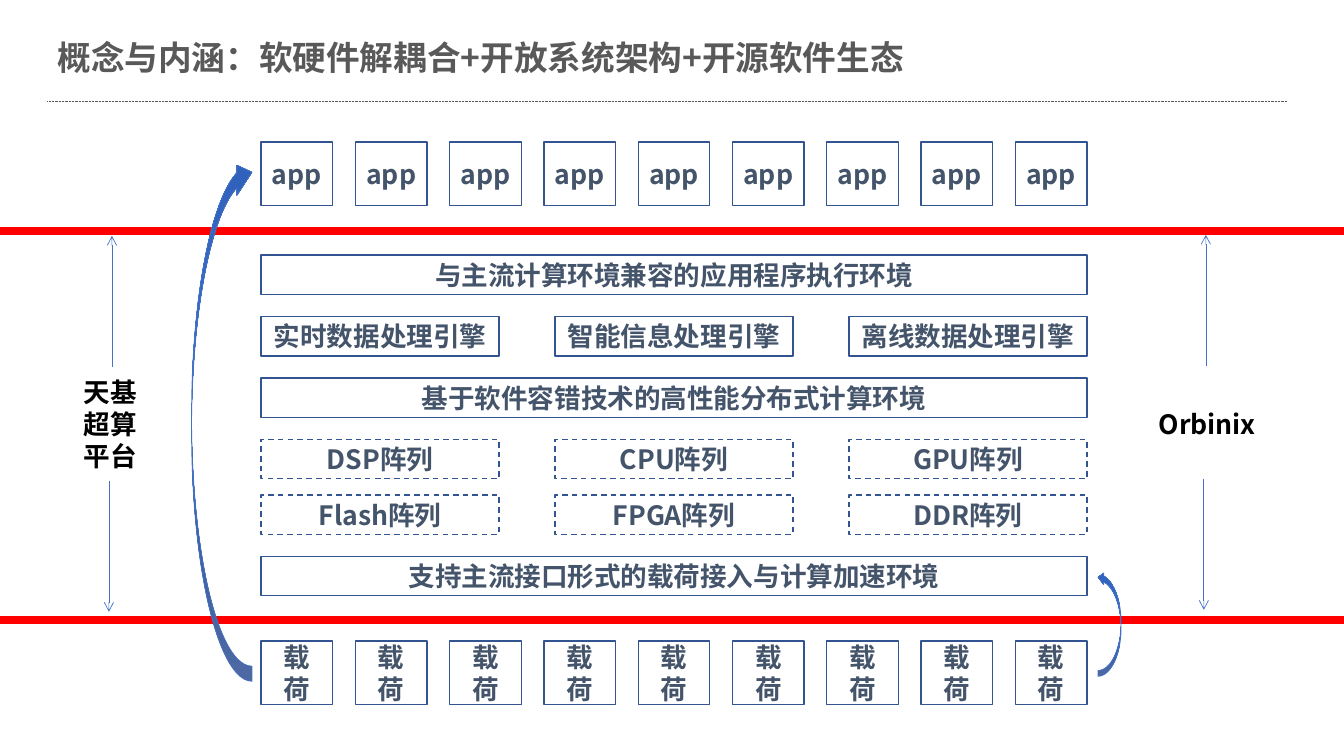
from copy import deepcopy
from dataclasses import dataclass

from lxml import etree
from pptx import Presentation
from pptx.dml.color import RGBColor
from pptx.enum import dml, shapes, text
from pptx.oxml import ns
from pptx.util import Inches, Pt


@dataclass(frozen=True)
class Theme:
    """Colours, type sizes and font of the slide."""
    font: str = "Noto Sans CJK SC"
    title_size: int = 24
    body_size: int = 19
    grey: str = "595959"
    slate: str = "44546A"
    border: str = "325491"
    blue: str = "4472C4"
    red: str = "FF0000"
    black: str = "000000"
    white: str = "FFFFFF"
    gradient: tuple = ("6183CB", "3E70CA", "3062BB")


THEME = Theme()
LEFT, WIDTH = 2.59, 8.19
BAR_H = 0.39
TILE_W, TILE_H, TILE_COUNT = 0.71, 0.63, 9
UNIT_W = 2.36


def rgb(value):
    """Turn a hex string into a colour."""
    return RGBColor.from_string(value)


def write(tf, words, color, size=THEME.body_size, align=text.PP_ALIGN.CENTER):
    """Put one bold paragraph into a text frame."""
    tf.word_wrap = True
    p = tf.paragraphs[0]
    p.text = words
    p.alignment = align
    p.font.name = THEME.font
    p.font.size = Pt(size)
    p.font.bold = True
    p.font.color.rgb = rgb(color)
    props = p._p.pPr.find(ns.qn("a:defRPr"))
    latin = props.find(ns.qn("a:latin"))
    ea = etree.Element(ns.qn("a:ea"), typeface=THEME.font)
    latin.addnext(ea)
    return p


def add_title(s, words):
    """Place and format the slide title."""
    sp = s.shapes.title
    sp.left, sp.top, sp.width, sp.height = map(Inches, (0.47, 0.32, 10.64, 0.55))
    tf = sp.text_frame
    tf.auto_size = text.MSO_AUTO_SIZE.NONE
    tf.vertical_anchor = text.MSO_ANCHOR.MIDDLE
    p = write(tf, words, THEME.grey, THEME.title_size, text.PP_ALIGN.LEFT)
    p.line_spacing = 0.9


def add_line(s, start, end, color, width, dash=None, arrow=False):
    """Draw a straight line, with an open arrowhead if asked."""
    line = s.shapes.add_connector(
        shapes.MSO_CONNECTOR.STRAIGHT, *map(Inches, (*start, *end)))
    line.line.color.rgb = rgb(color)
    line.line.width = Pt(width)
    if dash:
        line.line.dash_style = dash
    if arrow:
        etree.SubElement(line.line._get_or_add_ln(), ns.qn("a:tailEnd"), type="arrow")
    etree.SubElement(line._element.spPr, ns.qn("a:effectLst"))


def add_box(s, words, x, y, w, h, dash=None, fill=None):
    """Draw an outlined rectangle with centred text."""
    sp = s.shapes.add_shape(
        shapes.MSO_SHAPE.RECTANGLE, *map(Inches, (x, y, w, h)))
    sp.shadow.inherit = False
    if fill:
        sp.fill.solid()
        sp.fill.fore_color.rgb = rgb(fill)
    else:
        sp.fill.background()
    sp.line.color.rgb = rgb(THEME.border)
    sp.line.width = Pt(1)
    if dash:
        sp.line.dash_style = dash
    sp.text_frame.vertical_anchor = text.MSO_ANCHOR.MIDDLE
    write(sp.text_frame, words, THEME.slate)


def add_row(s, labels, y, w, h, **style):
    """Spread equal boxes evenly across the diagram width."""
    pitch = (WIDTH - w) / (len(labels) - 1)
    for i, label in enumerate(labels):
        add_box(s, label, LEFT + i * pitch, y, w, h, **style)


def add_curve(s, x, y, w, h, mirrored=False):
    """Draw an upward curved arrow with a gradient fill."""
    sp = s.shapes.add_shape(
        shapes.MSO_SHAPE.CURVED_RIGHT_ARROW, *map(Inches, (x, y, w, h)))
    sp.shadow.inherit = False
    sp.line.color.rgb = rgb(THEME.blue)
    sp.line.width = Pt(0.5)
    sp.fill.gradient()
    sp.fill.gradient_angle = 270
    stops = sp._element.spPr.find(".//" + ns.qn("a:gsLst"))
    stops.insert(1, deepcopy(stops[0]))
    for i, (stop, color) in enumerate(zip(sp.fill.gradient_stops, THEME.gradient)):
        stop.position = i / 2
        stop.color.rgb = rgb(color)
    xfrm = sp._element.spPr.xfrm
    xfrm.set("flipV", "1")
    if mirrored:
        xfrm.set("flipH", "1")


def add_span(s, words, box, x_up, x_down, top, bottom):
    """Draw a side label with arrows reaching up and down."""
    sp = s.shapes.add_textbox(*map(Inches, box))
    write(sp.text_frame, words, THEME.black)
    for x, start, end in ((x_up, top + 1.3, top), (x_down, bottom - 1.3, bottom)):
        add_line(s, (x, start), (x, end), THEME.blue, 0.5, arrow=True)


def main():
    """Build the slide and save it."""
    prs = Presentation()
    prs.slide_width, prs.slide_height = Inches(13.33), Inches(7.5)
    s = prs.slides.add_slide(prs.slide_layouts[5])
    dash = dml.MSO_LINE.DASH

    add_title(s, "概念与内涵：软硬件解耦合+开放系统架构+开源软件生态")
    add_line(s, (0.47, 1.01), (12.76, 1.01), THEME.grey, 0.5, dml.MSO_LINE.ROUND_DOT)

    for y, words in (
        (2.53, "与主流计算环境兼容的应用程序执行环境"),
        (3.75, "基于软件容错技术的高性能分布式计算环境"),
        (5.52, "支持主流接口形式的载荷接入与计算加速环境"),
    ):
        add_box(s, words, LEFT, y, WIDTH, BAR_H)

    for y, words in ((1.41, "app"), (6.36, "载荷")):
        add_row(s, [words] * TILE_COUNT, y, TILE_W, TILE_H, fill=THEME.white)

    engines = ["实时数据处理引擎", "智能信息处理引擎", "离线数据处理引擎"]
    add_row(s, engines, 3.14, UNIT_W, BAR_H)
    for y, chips in ((4.36, ("DSP", "CPU", "GPU")), (4.91, ("Flash", "FPGA", "DDR"))):
        add_row(s, [chip + "阵列" for chip in chips], y, UNIT_W, BAR_H, dash=dash)

    for y in (2.29, 6.15):
        add_line(s, (-0.2, y), (13.64, y), THEME.red, 6)

    add_span(s, "天基超算平台", (0.67, 3.68, 0.85, 1.08), 1.11, 1.08, 2.34, 6.07)
    add_curve(s, 1.9, 1.56, 0.6, 5.2)
    add_curve(s, 10.89, 5.67, 0.23, 1.04, mirrored=True)
    add_span(s, "Orbinix", (11.31, 4, 1.33, 0.42), 11.96, 11.94, 2.33, 6.05)

    prs.save("out.pptx")


if __name__ == "__main__":
    main()
